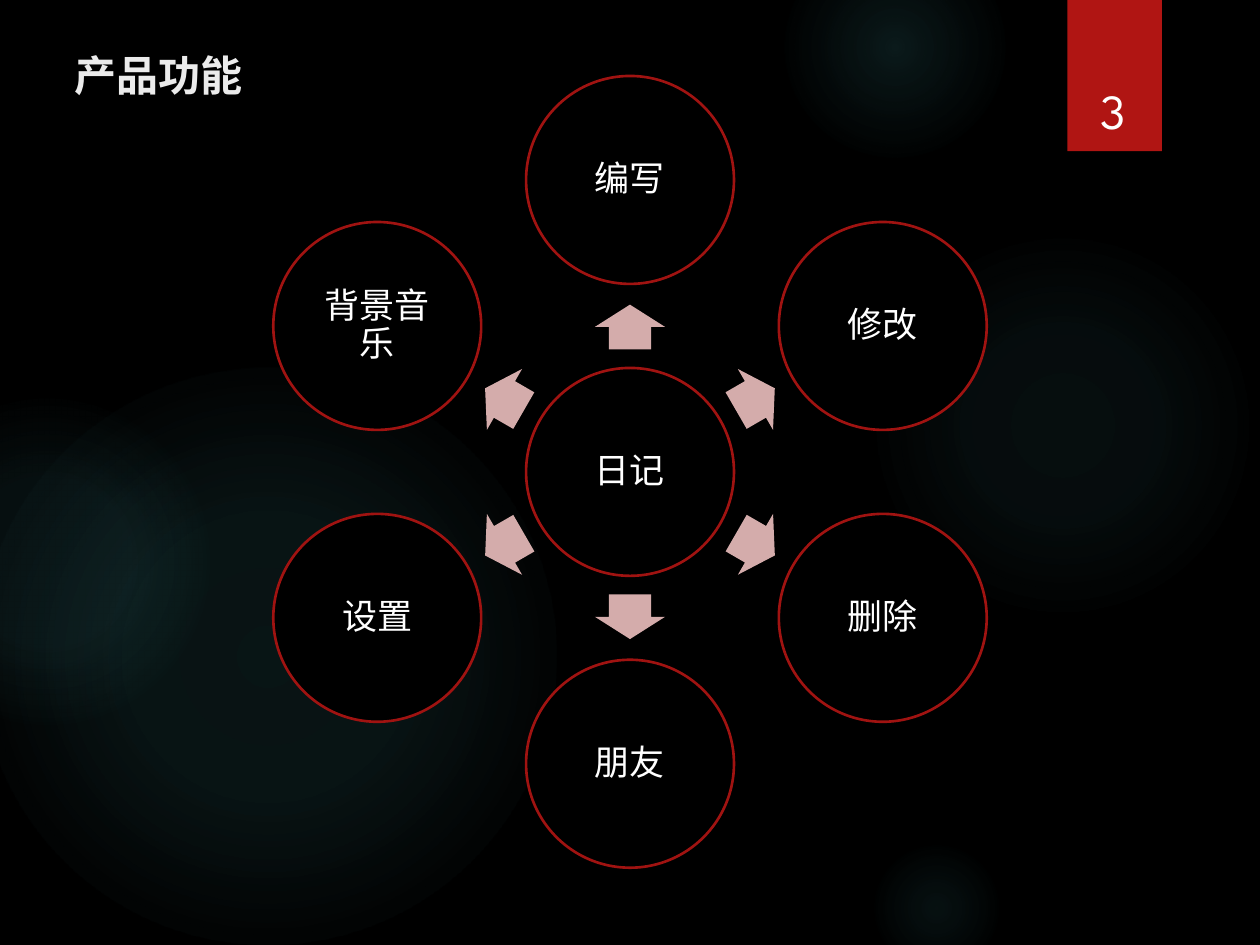
from math import cos, radians, sin

from pptx import Presentation
from pptx.dml.color import RGBColor
from pptx.enum.shapes import MSO_SHAPE as Shape
from pptx.enum.text import MSO_ANCHOR as Anchor, MSO_AUTO_SIZE as AutoSize, PP_ALIGN as Align
from pptx.oxml import parse_xml
from pptx.oxml.ns import nsdecls
from pptx.util import Inches, Pt

COLORS = {
    "background": "000000",
    "glow": "50B9C1",
    "banner": "B01513",
    "ring": "A01311",
    "arrow": "D4ACAB",
    "title": "EBEBEB",
    "text": "FFFFFF",
}
COLUMNS, ROWS = 120, 90
CENTER = (60, 44.94)
CIRCLE_SIZE, RING_RADIUS = 19.8, 27.8
ARROW_SIZE, ARROW_RADIUS = (4.25, 6.7), 13.8
GLOWS = [
    (82.7, 22, 37, [(0, 7), (36, 6), (69, 0)]),
    (74.7, -6, 21, [(0, 14), (36, 7), (73, 0)]),
    (82.7, 80, 13, [(0, 9), (36, 5), (66, 0)]),
    (-2, 35, 55, [(0, 11), (36, 10), (75, 0)]),
    (-11, 38, 31, [(0, 8), (36, 8), (72, 0)]),
]
FEATURES = ["编写", "背景音乐", "设置", "朋友", "删除", "修改"]


class FeatureSlide:
    """Draws styled elements on one slide, measured in grid columns and rows."""

    font_name = "League Spartan"

    def __init__(self, presentation):
        self.slide = presentation.slides.add_slide(presentation.slide_layouts[5])
        self.column = presentation.slide_width / COLUMNS
        self.row = presentation.slide_height / ROWS
        background = self.slide.background.fill
        background.solid()
        background.fore_color.rgb = self.color("background")

    def color(self, name):
        return RGBColor.from_string(COLORS[name])

    def box(self, left, top, width, height):
        return (round(left * self.column), round(top * self.row),
                round(width * self.column), round(height * self.row))

    def centered(self, x, y, width, height):
        return x - width / 2, y - height / 2, width, height

    def label(self, shape, text, size, color, align, anchor, margin=0, bold=False):
        frame = shape.text_frame
        frame.text = text
        frame.word_wrap = True
        frame.vertical_anchor = anchor
        frame.margin_left = frame.margin_right = Inches(margin)
        frame.margin_top = frame.margin_bottom = Inches(margin)
        paragraph = frame.paragraphs[0]
        paragraph.alignment = align
        font = paragraph.runs[0].font
        font.name, font.size, font.bold = self.font_name, Pt(size), bold
        font.color.rgb = self.color(color)
        return paragraph

    def shape(self, kind, bounds, fill):
        shape = self.slide.shapes.add_shape(kind, *self.box(*bounds))
        shape.shadow.inherit = False
        shape.fill.solid()
        shape.fill.fore_color.rgb = self.color(fill)
        shape.line.fill.background()
        return shape

    def glow(self, left, top, size, stops):
        shape = self.shape(Shape.OVAL, (left, top, size, size), "glow")
        stop_xml = "".join(
            f'<a:gs pos="{position * 1000}"><a:srgbClr val="{COLORS["glow"]}">'
            f'<a:alpha val="{alpha * 1000}"/></a:srgbClr></a:gs>'
            for position, alpha in stops)
        gradient = parse_xml(
            f'<a:gradFill {nsdecls("a")} rotWithShape="1"><a:gsLst>{stop_xml}</a:gsLst>'
            '<a:path path="circle"><a:fillToRect l="50000" t="50000" r="50000" b="50000"/>'
            '</a:path></a:gradFill>')
        properties = shape.element.spPr
        properties.replace(properties.solidFill, gradient)

    def title(self, text, bounds):
        title = self.slide.shapes.title
        title.left, title.top, title.width, title.height = self.box(*bounds)
        self.label(title, text, 24, "title", Align.LEFT, Anchor.MIDDLE, bold=True)
        title.text_frame.word_wrap = False
        title.text_frame.auto_size = AutoSize.SHAPE_TO_FIT_TEXT

    def page_number(self, text, bounds):
        number = self.slide.shapes.add_textbox(*self.box(*bounds))
        self.label(number, text, 28, "text", Align.CENTER, Anchor.BOTTOM, margin=0.05)

    def circle(self, text, x, y):
        bounds = self.centered(x, y, CIRCLE_SIZE, CIRCLE_SIZE)
        circle = self.shape(Shape.OVAL, bounds, "background")
        circle.line.color.rgb = self.color("ring")
        circle.line.width = Pt(1.5)
        paragraph = self.label(circle, text, 20, "text", Align.CENTER, Anchor.MIDDLE, margin=0.03)
        paragraph.line_spacing = 0.9
        paragraph.space_after = Pt(7)

    def arrow(self, x, y, angle):
        arrow = self.shape(Shape.RIGHT_ARROW, self.centered(x, y, *ARROW_SIZE), "arrow")
        arrow.adjustments[0], arrow.adjustments[1] = 0.6, 0.5
        arrow.rotation = angle

    def around_center(self, radius, angle):
        x, y = CENTER
        return x + radius * cos(radians(angle)), y + radius * sin(radians(angle))

    def radial_cycle(self, hub, features):
        self.circle(hub, *CENTER)
        for index, feature in enumerate(features):
            angle = (270 - index * 360 / len(features)) % 360
            self.arrow(*self.around_center(ARROW_RADIUS, angle), angle)
            self.circle(feature, *self.around_center(RING_RADIUS, angle))


def main():
    presentation = Presentation()
    presentation.slide_width, presentation.slide_height = Inches(10), Inches(7.5)
    slide = FeatureSlide(presentation)
    for glow in GLOWS:
        slide.glow(*glow)
    slide.shape(Shape.RECTANGLE, (101.65, 0, 9, 14.4), "banner")
    slide.title("产品功能", (7.1, 5, 16.2, 4.3))
    slide.page_number("3", (101.9, 3.8, 8.3, 10.1))
    slide.radial_cycle("日记", FEATURES)
    presentation.save("out.pptx")


if __name__ == "__main__":
    main()
